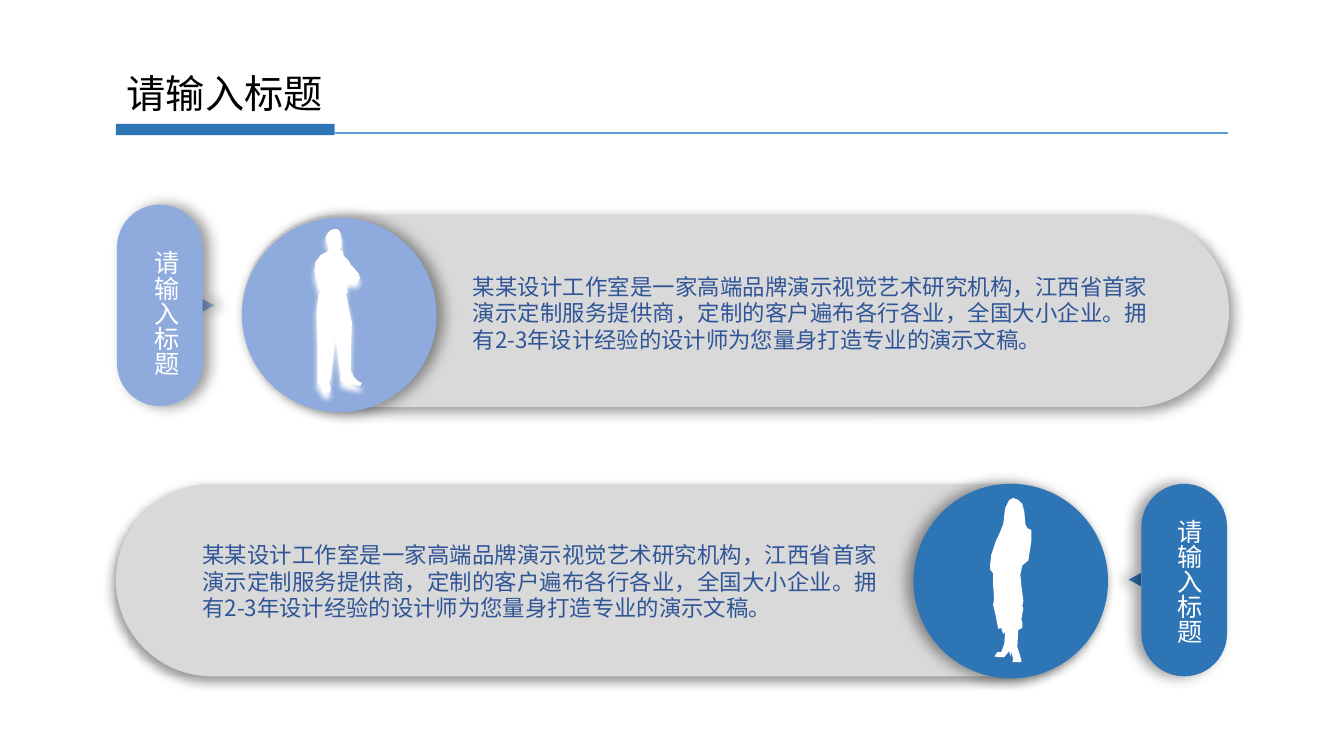
from lxml import etree
from pptx import Presentation, util as u
from pptx.dml.color import RGBColor
from pptx.enum import shapes, text
from pptx.oxml.ns import qn

PX = 9144  # 100 px to the inch
FONT = "Noto Sans CJK SC"
LINE_HEIGHT = 1.18
COLORS = {
    "blue": "2E75B6", "rule": "5B9BD5", "light": "8FAADC", "gray": "D9D9D9",
    "navy": "2F5597", "white": "FFFFFF", "black": "000000",
}
HEADING = "请输入标题"
BODY = ("某某设计工作室是一家高端品牌演示视觉艺术研究机构，江西省首家演示定制服务提供商，"
        "定制的客户遍布各行各业，全国大小企业。拥有2-3年设计经验的设计师为您量身打造专业的演示文稿。")

WOMAN = [
    (982, 565), (985, 569), (985, 581), (986, 594), (985, 600), (988, 613),
    (990, 624), (993, 623), (995, 629), (997, 627), (996, 639), (993, 647),
    (989, 647), (988, 649), (986, 651), (990, 652), (996, 652), (1001, 646),
    (1002, 651), (1003, 647), (1005, 654), (1004, 657), (1013, 657),
    (1013, 655), (1011, 648), (1009, 642), (1010, 625), (1014, 623),
    (1014, 618), (1013, 614), (1015, 604), (1014, 601), (1015, 596),
    (1013, 581), (1012, 570), (1014, 561), (1020, 556), (1023, 536),
    (1023, 526), (1019, 524), (1017, 520), (1016, 508), (1014, 500),
    (1010, 496), (1005, 494), (1001, 496), (997, 504), (995, 520),
    (991, 530), (988, 536), (983, 551), (982, 561),
]
MAN = [
    (343, 283), (348, 279), (352, 281), (355, 280), (357, 276), (356, 272),
    (352, 267), (348, 263), (346, 259), (341, 254), (340, 249), (337, 248),
    (339, 244), (339, 239), (338, 232), (336, 228), (332, 227), (327, 229),
    (324, 233), (323, 236), (324, 241), (326, 245), (326, 248), (324, 250),
    (318, 253), (313, 260), (312, 268), (313, 275), (315, 282), (316, 287),
    (318, 288), (316, 292), (314, 309), (315, 339), (315, 380), (318, 383),
    (321, 389), (326, 390), (328, 388), (328, 384), (326, 380), (328, 376),
    (331, 352), (332, 338), (333, 333), (334, 343), (336, 361), (338, 372),
    (337, 376), (339, 379), (343, 380), (348, 381), (357, 383), (359, 380),
    (355, 378), (351, 374), (348, 368), (348, 349), (349, 320), (345, 300),
    (343, 291), (345, 290), (344, 287),
]


class Slide:
    def __init__(self, page):
        self.items = page.shapes

    def paint(self, shape, color, shadow=None):
        """Fill a shape; shadow is (color, opacity %, blur pt, distance pt, angle)."""
        shape.fill.solid()
        shape.fill.fore_color.rgb = RGBColor.from_string(COLORS[color])
        shape.line.fill.background()
        shape.shadow.inherit = False
        if shadow:
            shade, opacity, blur, distance, angle = shadow
            effects = shape._element.spPr.find(qn("a:effectLst"))
            outer = etree.SubElement(
                effects, qn("a:outerShdw"), blurRad=str(u.Pt(blur)),
                dist=str(u.Pt(distance)), dir=str(angle * 60000), rotWithShape="0")
            tint = etree.SubElement(outer, qn("a:srgbClr"), val=COLORS[shade])
            etree.SubElement(tint, qn("a:alpha"), val=str(opacity * 1000))

    def preset(self, kind, area, color, shadow=None, rotation=0):
        shape = self.items.add_shape(kind, *(n * PX for n in area))
        shape.rotation = rotation
        self.paint(shape, color, shadow)
        return shape

    def pill(self, area, color, shadow):
        shape = self.preset(shapes.MSO_SHAPE.ROUNDED_RECTANGLE, area, color, shadow)
        shape.adjustments[0] = 0.5

    def rule(self, start, end, color, width):
        line = self.items.add_connector(
            shapes.MSO_CONNECTOR.STRAIGHT, *(n * PX for n in start + end))
        line.line.color.rgb = RGBColor.from_string(COLORS[color])
        line.line.width = u.Pt(width)
        etree.SubElement(line._element.spPr, qn("a:effectLst"))

    def silhouette(self, points, color, shadow=None):
        outline = self.items.build_freeform(*points[0], scale=PX)
        outline.add_line_segments(points[1:], close=True)
        self.paint(outline.convert_to_shape(), color, shadow)

    def text(self, area, words, size, color, wrap=False, vertical=False):
        box = self.items.add_textbox(*(n * PX for n in area))
        frame = box.text_frame
        frame.word_wrap = wrap
        frame.auto_size = text.MSO_AUTO_SIZE.SHAPE_TO_FIT_TEXT
        frame.margin_top = u.Pt(3.6 + 0.11 * size)
        if vertical:
            frame._txBody.bodyPr.set("vert", "eaVert")
        para = frame.paragraphs[0]
        para.line_spacing = u.Pt(size * LINE_HEIGHT)
        if wrap:
            para.alignment = text.PP_ALIGN.JUSTIFY
        span = para.add_run()
        span.text = words
        span.font.size = u.Pt(size)
        span.font.color.rgb = RGBColor.from_string(COLORS[color])
        span.font.name = FONT
        etree.SubElement(span._r.get_or_add_rPr(), qn("a:ea"), typeface=FONT)

    def tab(self, pill, label, pointer, rotation, color, angle):
        """Side label: a pill with vertical text and a small pointer."""
        shadow = ("black", 40, 10, 5, angle)
        self.preset(shapes.MSO_SHAPE.ISOSCELES_TRIANGLE, pointer, color, shadow, rotation)
        self.pill(pill, color, shadow)
        self.text(label, HEADING, 18, "white", vertical=True)

    def profile(self, band, band_shadow, disc, color, angle, person, glow, body):
        """Gray band with a person on a disc and a description."""
        self.pill(band, "gray", band_shadow)
        self.preset(shapes.MSO_SHAPE.OVAL, disc, color, ("black", 40, 10, 5, angle))
        self.silhouette(person, "white", glow)
        self.text(body, BODY, 16, "navy", wrap=True)


def main():
    deck = Presentation()
    deck.slide_width, deck.slide_height = u.Inches(13.33), u.Inches(7.5)
    page = Slide(deck.slides.add_slide(deck.slide_layouts[6]))

    page.preset(shapes.MSO_SHAPE.RECTANGLE, (115, 123, 217, 11), "blue")
    page.rule((332, 132), (1218, 132), "rule", 2)
    page.text((116, 60, 217, 57), HEADING, 28, "black")

    page.tab((116, 203, 85, 200), (134, 241, 50, 136), (200, 297, 13, 12),
             90, "light", 0)
    page.tab((1132, 480, 85, 191), (1149, 507, 50, 136), (1119, 569, 13, 12),
             270, "blue", 180)

    page.profile((115, 480, 984, 191), ("black", 40, 7, 4, 135),
                 (906, 480, 193, 193), "blue", 180,
                 WOMAN, None, (191, 530, 690, 91))
    page.profile((240, 213, 979, 191), ("black", 40, 9, 4, 45),
                 (240, 216, 193, 193), "light", 0,
                 MAN, ("white", 100, 4, 4, 90), (459, 264, 690, 91))
    deck.save("out.pptx")


if __name__ == "__main__":
    main()
